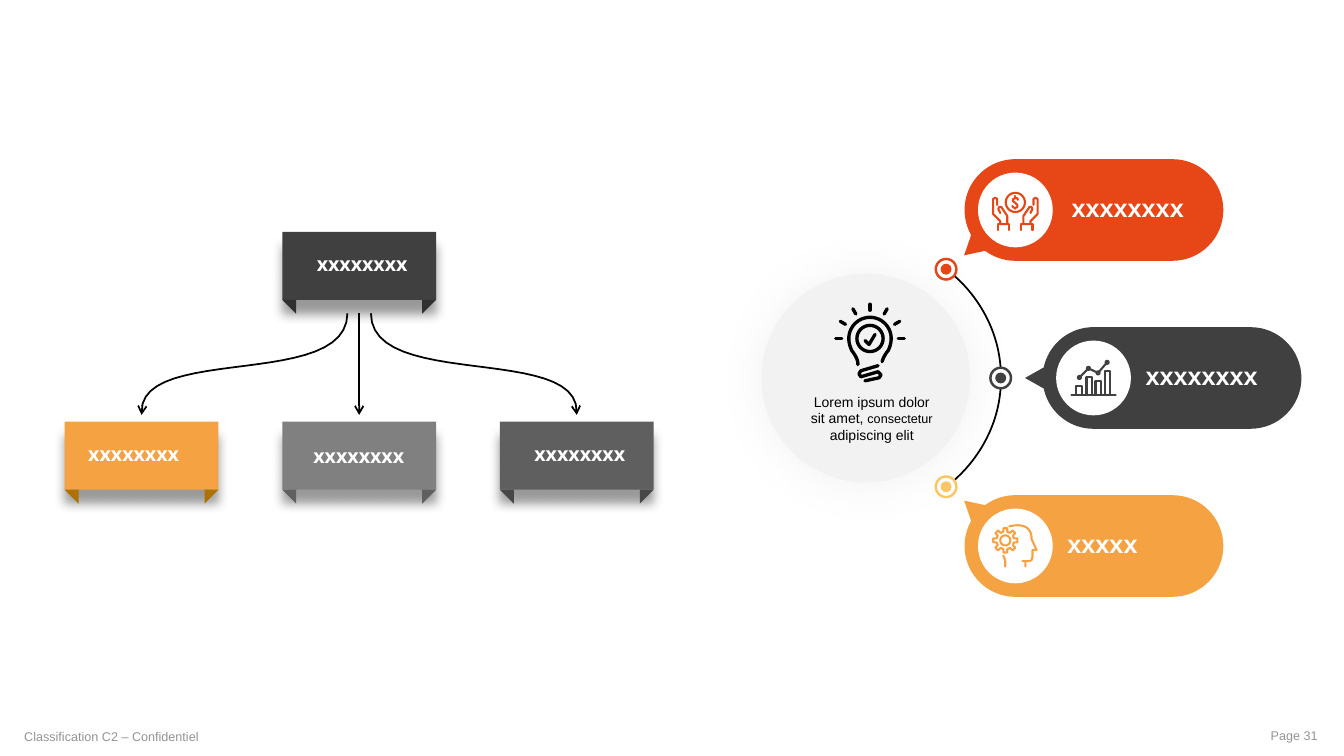
"""Build a slide with a three-way flow tree and an idea hub with three callouts."""
import math

from lxml import etree
from pptx import Presentation, util as u
from pptx.dml.color import RGBColor
from pptx.enum import shapes, text
from pptx.oxml.ns import qn

WIDTH, HEIGHT = u.Inches(13.33), u.Inches(7.5)
CELL = HEIGHT / 90
ICON_UNIT = 0.12

BLACK = RGBColor(0x00, 0x00, 0x00)
WHITE = RGBColor(0xFF, 0xFF, 0xFF)
GREY = RGBColor(0x80, 0x80, 0x80)
FOOTER_GREY = RGBColor(0x94, 0x94, 0x94)
CHARCOAL = RGBColor(0x3F, 0x40, 0x3F)
CHARCOAL_FOLD = RGBColor(0x2F, 0x30, 0x2F)
SLATE = RGBColor(0x5F, 0x5F, 0x5F)
SLATE_FOLD = RGBColor(0x47, 0x47, 0x47)
GREY_FOLD = RGBColor(0x60, 0x60, 0x60)
AMBER = RGBColor(0xF5, 0xA2, 0x43)
AMBER_FOLD = RGBColor(0xAD, 0x72, 0x03)
YELLOW = RGBColor(0xFC, 0xC7, 0x65)
RED = RGBColor(0xE7, 0x46, 0x17)
PALE = RGBColor(0xF1, 0xF2, 0xF1)

BOX_W, BOX_H, FOLD, BOX_STEP = 18.3, 8.1, 1.65, 25.9
TREE_X, PARENT_Y, CHILD_Y = 42.75, 27.6, 50.2
ARROW_TOP, ARROW_END = 37.3, 49.4
MIDDLE_ROW, ROW_STEP = 45, 20
CAP_R, PILL_SPAN, TAIL_R, TAIL_HALF = 6.05, 18.7, 8.15, 12
HUB_X = 103.05


def cells(*values):
    """Turn grid cells into lengths."""
    return [round(value * CELL) for value in values]


def arc(cx, cy, radius, start=0, end=360, steps=32):
    """Return points along a circular arc."""
    angles = [math.radians(start + (end - start) * i / steps) for i in range(steps + 1)]
    return [(cx + radius * math.cos(a), cy + radius * math.sin(a)) for a in angles]


def bezier(a, b, c, d, steps=24):
    """Return points along a cubic curve."""
    points = []
    for i in range(steps + 1):
        t = i / steps
        weights = ((1 - t) ** 3, 3 * t * (1 - t) ** 2, 3 * t * t * (1 - t), t ** 3)
        points.append(tuple(sum(w * p[k] for w, p in zip(weights, (a, b, c, d)))
                            for k in (0, 1)))
    return points


def mirror(strokes):
    """Flip strokes from left to right."""
    return [[(-x, y) for x, y in stroke] for stroke in strokes]


def paint(shape, fill=None, line=None, width=1.25):
    """Set fill and line and remove the theme shadow."""
    shape.shadow.inherit = False
    if fill is None:
        shape.fill.background()
    else:
        shape.fill.solid()
        shape.fill.fore_color.rgb = fill
    if line is None:
        shape.line.fill.background()
    else:
        shape.line.color.rgb = line
        shape.line.width = u.Pt(width)


def add_shadow(shape, color, alpha, blur, distance, angle):
    """Give a shape a soft outer shadow."""
    effects = shape._element.spPr.find(qn("a:effectLst"))
    shadow = etree.SubElement(effects, qn("a:outerShdw"), blurRad=str(u.Pt(blur)),
                              dist=str(u.Pt(distance)), dir=str(angle * 60000),
                              algn="ctr", rotWithShape="0")
    tint = etree.SubElement(shadow, qn("a:srgbClr"), val=str(color))
    etree.SubElement(tint, qn("a:alpha"), val=str(alpha * 1000))


def add_arrowhead(shape):
    """Put an open arrowhead on the end of a line."""
    etree.SubElement(shape.line._get_or_add_ln(), qn("a:tailEnd"), type="arrow")


def add_outline(slide, strokes, fill=None, line=None, width=1.25):
    """Draw strokes given in cells as one freeform."""
    paths = [[cells(*point) for point in stroke] for stroke in strokes]
    builder = slide.shapes.build_freeform(*paths[0][0], scale=1.0)
    for i, points in enumerate(paths):
        if i:
            builder.move_to(*points[0])
        builder.add_line_segments(points[1:], close=fill is not None)
    shape = builder.convert_to_shape()
    paint(shape, fill, line, width)
    return shape


def add_disc(slide, cx, cy, size, **colors):
    """Draw a circle around a centre."""
    disc = slide.shapes.add_shape(shapes.MSO_SHAPE.OVAL,
                                  *cells(cx - size / 2, cy - size / 2, size, size))
    paint(disc, **colors)
    return disc


def add_label(slide, box, parts, font, color, bold=False, wrap=False, inset=True,
              align=text.PP_ALIGN.LEFT, anchor=text.MSO_ANCHOR.TOP):
    """Write one paragraph made of (words, size) parts."""
    frame = slide.shapes.add_textbox(*cells(*box)).text_frame
    frame.word_wrap = wrap
    frame.vertical_anchor = anchor
    if not inset:
        frame.margin_left = frame.margin_right = frame.margin_top = frame.margin_bottom = 0
    frame.paragraphs[0].alignment = align
    for words, size in parts:
        run = frame.paragraphs[0].add_run()
        run.text = words
        run.font.size, run.font.name, run.font.bold = u.Pt(size), font, bold
        run.font.color.rgb = color


def add_icon(slide, cx, cy, strokes, color, width=1.5):
    """Draw a line icon around a centre."""
    placed = [[(cx + x * ICON_UNIT, cy + y * ICON_UNIT) for x, y in s] for s in strokes]
    icon = add_outline(slide, placed, line=color, width=width)
    icon.line._get_or_add_ln().set("cap", "rnd")


def add_folded_box(slide, cx, top, color, fold_color, label_dx, label_dy):
    """Draw a ribbon box with folded corners and its label."""
    left, bottom = cx - BOX_W / 2, top + BOX_H
    box = slide.shapes.add_shape(shapes.MSO_SHAPE.RECTANGLE, *cells(left, top, BOX_W, BOX_H))
    paint(box, color)
    add_shadow(box, BLACK, 40, 8, 10, 90)
    for edge, inward in ((left, FOLD), (left + BOX_W, -FOLD)):
        add_outline(slide, [[(edge, bottom), (edge + inward, bottom + FOLD),
                             (edge + inward, bottom)]], fill=fold_color)
    add_label(slide, (left + label_dx, top + label_dy, 10.9, 2.9), [("xxxxxxxx", 14)],
              "Open Sans", WHITE, bold=True, inset=False)


def add_tree(slide):
    """Draw the parent box, its arrows and three children."""
    for side in (-1, 1):
        start, end = TREE_X + side * 1.4, TREE_X + side * BOX_STEP
        curve = bezier((start, ARROW_TOP), (start, 46.4), (end, 41), (end, 49))
        add_arrowhead(add_outline(slide, [curve + [(end, ARROW_END)]], line=BLACK))
    stem = slide.shapes.add_connector(shapes.MSO_CONNECTOR.STRAIGHT,
                                      *cells(TREE_X, ARROW_TOP, TREE_X, ARROW_END))
    stem.line.color.rgb, stem.line.width = BLACK, u.Pt(1.25)
    add_arrowhead(stem)
    etree.SubElement(stem._element.spPr, qn("a:effectLst"))
    add_folded_box(slide, TREE_X, PARENT_Y, CHARCOAL, CHARCOAL_FOLD, 4.1, 2.4)
    children = ((AMBER, AMBER_FOLD, 2.8, 2.4), (GREY, GREY_FOLD, 3.7, 2.65),
                (SLATE, SLATE_FOLD, 4.1, 2.4))
    for i, child in enumerate(children):
        add_folded_box(slide, TREE_X + (i - 1) * BOX_STEP, CHILD_Y, *child)


def money_icon():
    """Return two hands under a coin."""
    hand = [[(-15, 3), (-17, -1), (-16, -3), (-14, -3), (-8, 6), (-8, 14), (-15, 14), (-15, 11),
             (-22, 4), (-22, -11), (-20, -12), (-18, -11), (-18, -5)],
            [(-6, 20), (-6, 14), (-17, 14), (-17, 20)]]
    dollar = [(-3, -4), (-2, -2.5), (0, -2), (2, -3), (2, -5), (0, -7), (-2.5, -9),
              (-2.5, -10.5), (0, -12), (2, -11.5), (2.5, -10)]
    return hand + mirror(hand) + [arc(0, -7.5, 9.5), dollar, [(0, -12), (0, -14)],
                                  [(0, -1), (0, -2)]]


def growth_icon():
    """Return bars under a rising line."""
    bars = [[(x, 17), (x, y), (x + 5.5, y), (x + 5.5, 17)]
            for x, y in ((-17, 8), (-7, -1), (2, 3), (11, -7))]
    trend = [(-14, -0.5), (-5, -9.5), (4.5, -5), (13.5, -15.5)]
    return bars + [[(-22, 17), (22, 17)], trend] + [arc(x, y, 1.5, steps=12) for x, y in trend]


def mind_icon():
    """Return a head profile with a gear."""
    gear = [arc(-10, -5.5, radius, tooth * 45 + angle, tooth * 45 + angle, 1)[0]
            for tooth in range(9)
            for angle, radius in ((-13, 8.8), (-9, 12.2), (9, 12.2), (13, 8.8))]
    face = bezier((-6, -19.5), (18, -25), (16, -7), (16, -7)) + [
        (21, 4), (17, 4), (17, 11), (16, 14), (14, 15), (10, 15), (10, 20.5)]
    return [gear, arc(-10, -5.5, 5), face, [(10, 15), (7, 15)],
            [(-10, 20.5), (-10, 14.5), (-12, 9.5)]]


def bulb_icon():
    """Return a shining bulb with a check mark."""
    glass = (bezier((-12, 26), (-12, 22), (-13, 19), (-18, 12))
             + bezier((-18, 12), (-20, 8), (-21, 4), (-21, 0)) + arc(0, 0, 21, 180, 360)
             + bezier((21, 0), (21, 4), (20, 8), (18, 12))
             + bezier((18, 12), (14, 17), (13, 20), (12, 23)))
    rays = [[arc(0, 0, r, a, a, 1)[0] for r in (28, 34)] for a in range(180, 361, 30)]
    screw = [(8, 27), (-9, 32), (-11, 35), (-9, 38), (8, 33), (11, 36), (9, 39), (-5, 42)]
    return [glass, arc(0, 0, 13), [(-5, 2), (-1, 6), (5, -4)], screw] + rays


def add_callout(slide, cx, cy, tail, color, icon, words, label_dx, label_w):
    """Draw a pill with a tail, an icon disc and a label."""
    outline = (arc(cx + PILL_SPAN, cy, CAP_R, -90, 90)
               + arc(cx, cy, CAP_R, 90, tail - TAIL_HALF)
               + arc(cx, cy, TAIL_R, tail, tail, 1)[:1]
               + arc(cx, cy, CAP_R, tail + TAIL_HALF, 270))
    add_outline(slide, [outline], fill=color)
    add_disc(slide, cx, cy, 8.9, fill=WHITE)
    add_icon(slide, cx, cy, icon, color)
    add_label(slide, (cx + label_dx, cy - 2.1, label_w, 3.6), [(words, 18)], "Arial", WHITE,
              bold=True, inset=False)


def add_hub(slide):
    """Draw the idea hub, its arc of nodes and the callouts."""
    for side in (-1, 1):
        curve = ((119.1, 1.2), (118.8, 5.6), (116.6, 9.5), (113.6, 12.15))
        add_outline(slide, [bezier(*((x, MIDDLE_ROW + side * y) for x, y in curve))], line=BLACK)
    for cx, cy, color in ((112.6, 32.05, RED), (119.1, 45, CHARCOAL), (112.6, 57.95, YELLOW)):
        add_disc(slide, cx, cy, 2.45, line=color, width=1.75)
        add_disc(slide, cx, cy, 1.3, fill=color)
    callouts = ((120.85, 138.5, RED, money_icon(), "xxxxxxxx", 6.7, 13.4),
                (130.15, 180, CHARCOAL, growth_icon(), "xxxxxxxx", 6.2, 13.4),
                (120.85, 221.5, AMBER, mind_icon(), "xxxxx", 6.2, 8.4))
    for i, (cx, *details) in enumerate(callouts):
        add_callout(slide, cx, MIDDLE_ROW + (i - 1) * ROW_STEP, *details)
    hub = add_disc(slide, HUB_X, MIDDLE_ROW, 24.85, fill=PALE)
    add_shadow(hub, GREY, 9, 32, 1, 45)
    add_label(slide, (95.3, 46.2, 16.9, 7.4),
              [("Lorem ipsum dolor sit amet, ", 10), ("consectetur", 9), (" adipiscing elit", 10)],
              "Arial", BLACK, wrap=True, align=text.PP_ALIGN.CENTER)
    add_icon(slide, 103.55, 40.3, bulb_icon(), BLACK, 2.38)


def main():
    """Build and save the slide."""
    deck = Presentation()
    deck.slide_width, deck.slide_height = WIDTH, HEIGHT
    slide = deck.slides.add_slide(deck.slide_layouts[6])
    for box, words, align in (
            ((1.7, 85.3, 25, 4.8), "Classification C2 – Confidentiel", text.PP_ALIGN.LEFT),
            ((125.6, 85.2, 32.4, 4.8), "Page 31", text.PP_ALIGN.RIGHT)):
        add_label(slide, box, [(words, 9)], "Arial", FOOTER_GREY, wrap=True, align=align,
                  anchor=text.MSO_ANCHOR.MIDDLE)
    add_tree(slide)
    add_hub(slide)
    deck.save("out.pptx")


if __name__ == "__main__":
    main()
